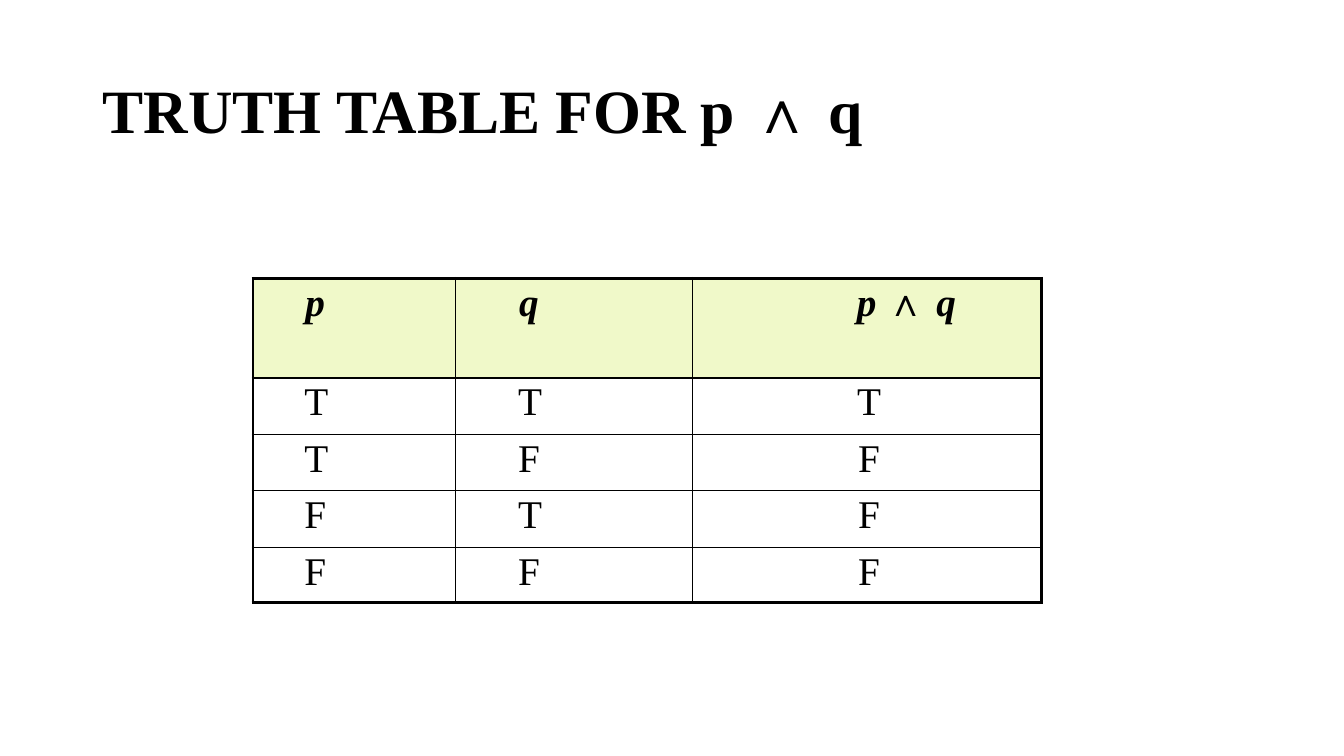
from dataclasses import dataclass

import lxml.etree
import pptx
import pptx.dml.color
import pptx.enum.text
import pptx.oxml.ns
import pptx.util
from pptx.util import Inches

BLACK = pptx.dml.color.RGBColor(0x00, 0x00, 0x00)
HEADER_GREEN = pptx.dml.color.RGBColor(0xF0, 0xF9, 0xC9)
TEXT_FONT = "Times New Roman"
SYMBOL_FONT = "Arial"
OUTER_BORDER = 2.25
INNER_BORDER = 1.0
LEFT = pptx.enum.text.PP_ALIGN.LEFT
CENTER = pptx.enum.text.PP_ALIGN.CENTER


@dataclass(frozen=True)
class Piece:
    text: str
    font: str = TEXT_FONT
    bold: bool = False
    italic: bool = False


@dataclass(frozen=True)
class Column:
    width: float
    header: tuple[Piece, ...]
    header_indent: float
    value_indent: float
    alignment: pptx.enum.text.PP_ALIGN
    values: str


TITLE = (
    Piece("TRUTH TABLE FOR p ", bold=True),
    Piece("∧", SYMBOL_FONT, bold=True),
    Piece(" q", bold=True),
)
COLUMNS = (
    Column(2.01, (Piece("p", bold=True, italic=True),), 0.52, 0.51, LEFT, "TTFF"),
    Column(2.35, (Piece("q", bold=True, italic=True),), 0.63, 0.62, LEFT, "TFTF"),
    Column(
        3.46,
        (
            Piece("p ", bold=True, italic=True),
            Piece("∧ ", SYMBOL_FONT),
            Piece("q", bold=True, italic=True),
        ),
        0.78, 0.04, CENTER, "TFFF",
    ),
)
ROW_HEIGHTS = (0.99, 0.56, 0.56, 0.56, 0.55)


def add_pieces(paragraph, pieces: tuple[Piece, ...], size: float) -> None:
    for piece in pieces:
        run = paragraph.add_run()
        run.text = piece.text
        run.font.name = piece.font
        run.font.size = pptx.util.Pt(size)
        run.font.bold = piece.bold
        run.font.italic = piece.italic
        run.font.color.rgb = BLACK


def add_border(cell, side: str, width: float) -> None:
    """Draw one side (L, R, T or B) of a cell; call before filling the cell."""
    qualified = pptx.oxml.ns.qn
    properties = cell._tc.get_or_add_tcPr()
    line = lxml.etree.SubElement(
        properties, qualified(f"a:ln{side}"), w=str(int(pptx.util.Pt(width)))
    )
    fill = lxml.etree.SubElement(line, qualified("a:solidFill"))
    lxml.etree.SubElement(fill, qualified("a:srgbClr"), val=str(BLACK))


def format_cell(cell, column: Column, row_index: int, column_index: int) -> None:
    is_header = row_index == 0
    outer_sides = {
        "L": column_index == 0,
        "R": column_index == len(COLUMNS) - 1,
        "T": is_header,
        "B": row_index == len(ROW_HEIGHTS) - 1,
    }
    for side, is_outer in outer_sides.items():
        add_border(cell, side, OUTER_BORDER if is_outer else INNER_BORDER)
    if is_header:
        cell.fill.solid()
        cell.fill.fore_color.rgb = HEADER_GREEN
    else:
        cell.fill.background()

    cell.margin_left = Inches(column.header_indent if is_header else column.value_indent)
    cell.margin_right = cell.margin_top = cell.margin_bottom = 0
    paragraph = cell.text_frame.paragraphs[0]
    paragraph.alignment = column.alignment
    paragraph.line_spacing = 1.07
    paragraph.space_before = pptx.util.Pt(2.5 if is_header else 3)
    pieces = column.header if is_header else (Piece(column.values[row_index - 1]),)
    add_pieces(paragraph, pieces, 28)


def add_title(slide) -> None:
    title = slide.shapes.title
    title.left, title.top = Inches(0.92), Inches(0.4)
    title.width, title.height = Inches(11.5), Inches(1.45)
    title.text_frame.word_wrap = True
    title.text_frame.auto_size = pptx.enum.text.MSO_AUTO_SIZE.NONE
    title.text_frame.vertical_anchor = pptx.enum.text.MSO_ANCHOR.MIDDLE
    paragraph = title.text_frame.paragraphs[0]
    paragraph.alignment = LEFT
    paragraph.line_spacing = 0.9
    add_pieces(paragraph, TITLE, 44)


def add_truth_table(slide) -> None:
    table = slide.shapes.add_table(
        len(ROW_HEIGHTS), len(COLUMNS),
        Inches(2.51), Inches(2.76), Inches(7.82), Inches(3.22),
    ).table
    table.first_row = table.horz_banding = False
    for row, height in zip(table.rows, ROW_HEIGHTS):
        row.height = Inches(height)
    for column_index, column in enumerate(COLUMNS):
        table.columns[column_index].width = Inches(column.width)
        for row_index in range(len(ROW_HEIGHTS)):
            cell = table.cell(row_index, column_index)
            format_cell(cell, column, row_index, column_index)


def main() -> None:
    presentation = pptx.Presentation()
    presentation.slide_width = Inches(13.33)
    presentation.slide_height = Inches(7.5)
    slide = presentation.slides.add_slide(presentation.slide_layouts[5])
    add_title(slide)
    add_truth_table(slide)
    presentation.save("out.pptx")


if __name__ == "__main__":
    main()
